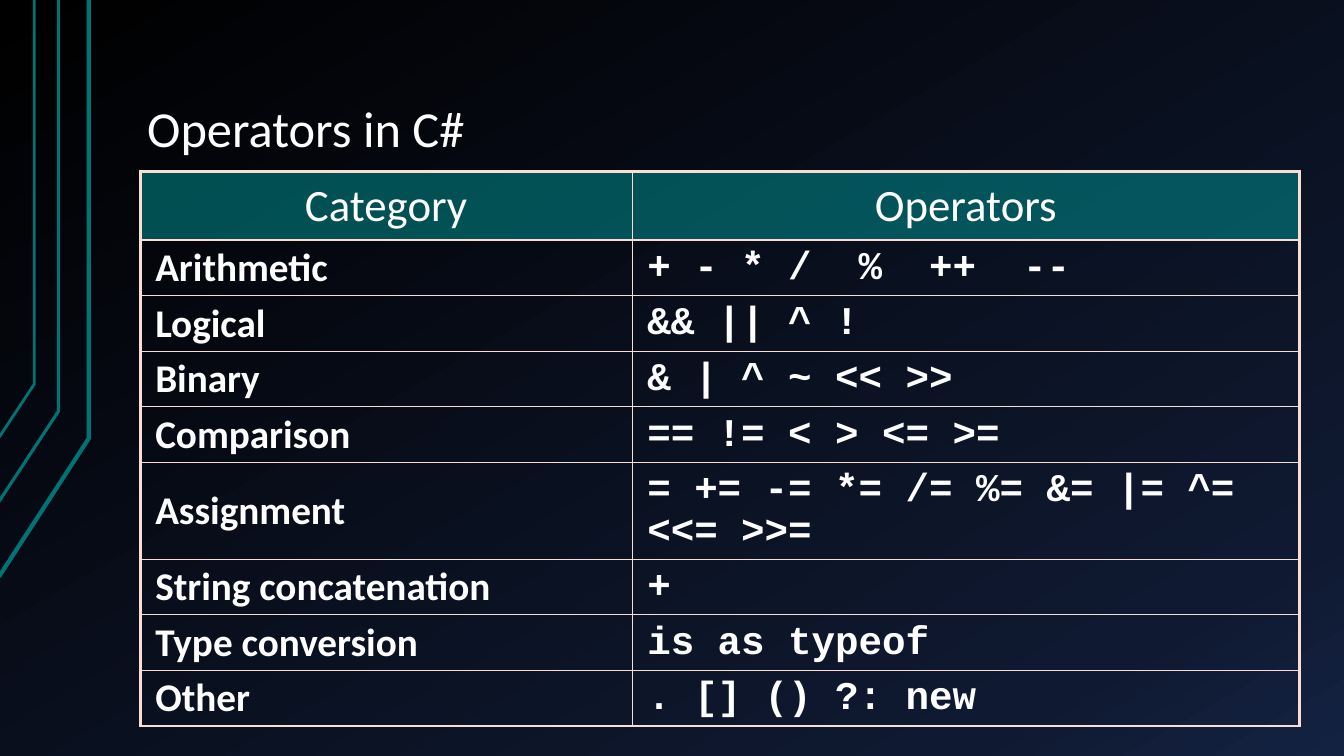
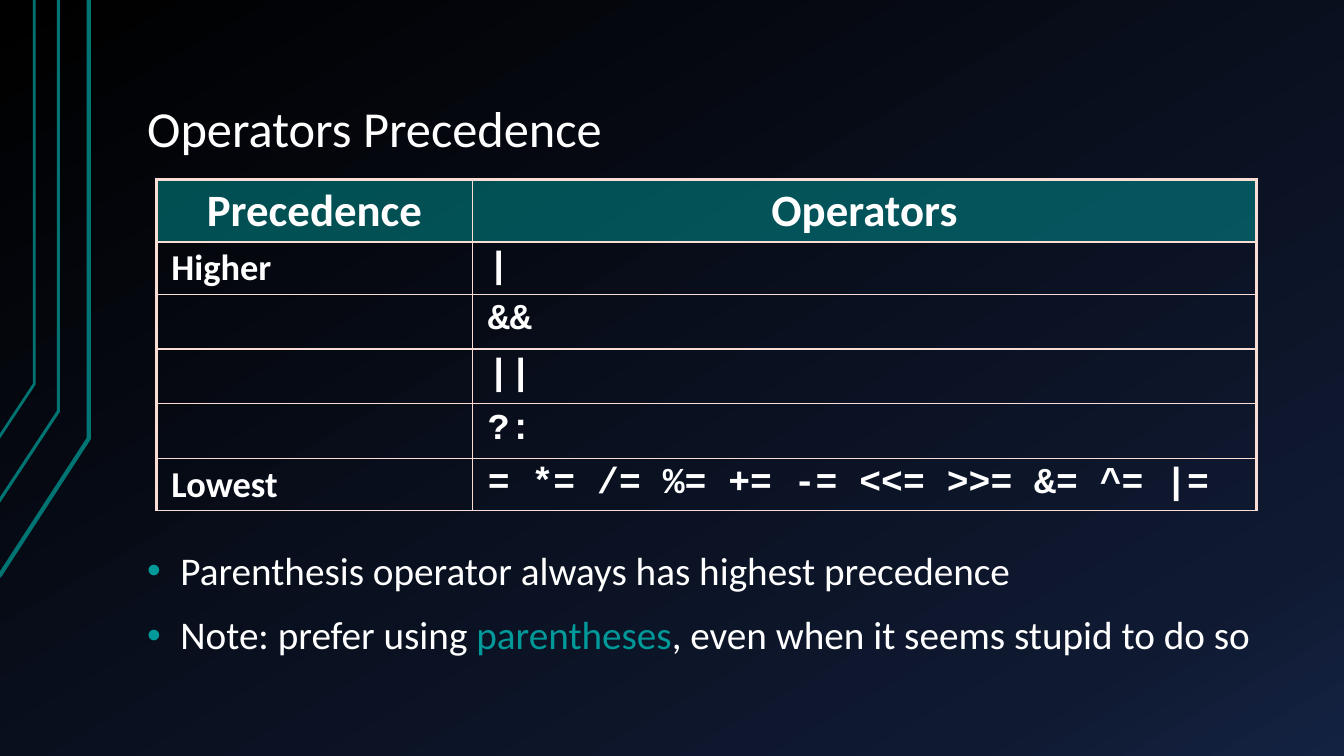
"""Build two slides on C# operators and their precedence."""
from copy import deepcopy

from lxml import etree
from pptx import Presentation
from pptx.dml.color import RGBColor
from pptx.enum.text import MSO_ANCHOR, MSO_AUTO_SIZE, PP_ALIGN
from pptx.oxml.ns import qn
from pptx.util import Inches, Pt

TOP, MIDDLE, BOTTOM = MSO_ANCHOR.TOP, MSO_ANCHOR.MIDDLE, MSO_ANCHOR.BOTTOM
LEFT, CENTER = PP_ALIGN.LEFT, PP_ALIGN.CENTER
NO_AUTOFIT = MSO_AUTO_SIZE.NONE

COLORS = {
    "text": "FFFFFF",
    "accent": "009999",
    "ribbon": "007373",
    "border": "FADDD5",
}
BACKDROP = [(0, "000000"), (0.85, "0F1931"), (1, "142242")]
BODY_FONT, CODE_FONT = "Calibri", "Courier New"
SLIDE_W, SLIDE_H = 13.33, 7.5
CONTENT_LEFT, CONTENT_W, BLOCK_H = 1.33, 11.33, 1.34
THICK, THIN = 2.25, 1
RIBBONS = [
    (3, [(-0.01, 5.72), (0.88, 4.35), (0.88, 0)]),
    (2.25, [(-0.02, 4.99), (0.58, 4.08), (0.58, 0)]),
    (2, [(-0.01, 4.34), (0.34, 3.81), (0.34, 0)]),
]

CATEGORIES = [
    ("Category", "Operators"),
    ("Arithmetic", "+ - * /  %  ++  --"),
    ("Logical", "&& || ^ !"),
    ("Binary", "& | ^ ~ << >>"),
    ("Comparison", "== != < > <= >="),
    ("Assignment", "= += -= *= /= %= &= |= ^= <<= >>="),
    ("String concatenation", "+"),
    ("Type conversion", "is as typeof"),
    ("Other", ". [] () ?: new"),
]
PRECEDENCE = [
    ("Precedence", "Operators"),
    ("Higher", "|"),
    ("", "&&"),
    ("", "||"),
    ("", "?:"),
    ("Lowest", "= *= /= %= += -= <<= >>= &= ^= |="),
]
NOTES = [
    [("Parenthesis operator always has highest precedence", "text")],
    [("Note: prefer using ", "text"), ("parentheses", "accent"),
     (", even when it seems stupid to do so", "text")],
]


def rgb(name):
    return RGBColor.from_string(COLORS[name])


def set_font(font, size, face=BODY_FONT, bold=False):
    font.name, font.size, font.bold = face, Pt(size), bold
    font.color.rgb = rgb("text")


def set_frame(frame, anchor):
    frame.word_wrap = True
    frame.auto_size = NO_AUTOFIT
    frame.vertical_anchor = anchor
    frame.margin_left = frame.margin_right = Inches(0.13)
    frame.margin_top = frame.margin_bottom = Inches(0.07)


def paint_backdrop(master):
    fill = master.background.fill
    fill.gradient()
    fill.gradient_angle = 300
    stops = master.element.find(".//" + qn("a:gsLst"))
    stops.append(deepcopy(stops[-1]))
    for stop, (position, color) in zip(fill.gradient_stops, BACKDROP):
        stop.position = position
        stop.color.rgb = RGBColor.from_string(color)


def add_ribbon(slide, weight, points):
    start, *rest = [(Inches(x), Inches(y)) for x, y in points]
    builder = slide.shapes.build_freeform(*start)
    builder.add_line_segments(rest, close=False)
    ribbon = builder.convert_to_shape()
    ribbon.shadow.inherit = False
    ribbon.fill.background()
    ribbon.line.color.rgb = rgb("ribbon")
    ribbon.line.width = Pt(weight)


def add_titled_slide(prs, heading):
    slide = prs.slides.add_slide(prs.slide_layouts[5])
    for weight, points in RIBBONS:
        add_ribbon(slide, weight, points)
    title = slide.shapes.title
    title.left, title.top = Inches(CONTENT_LEFT), Inches(0.3)
    title.width, title.height = Inches(CONTENT_W), Inches(BLOCK_H)
    title.text_frame.text = heading
    set_frame(title.text_frame, BOTTOM)
    paragraph = title.text_frame.paragraphs[0]
    paragraph.alignment, paragraph.line_spacing = LEFT, 0.9
    set_font(paragraph.font, 36)
    return slide


def set_borders(cell, weights):
    properties = cell._tc.get_or_add_tcPr()
    for index, (side, weight) in enumerate(zip("LRTB", weights)):
        line = etree.Element(qn("a:ln" + side), w=str(Pt(weight)))
        solid = etree.SubElement(line, qn("a:solidFill"))
        etree.SubElement(solid, qn("a:srgbClr"), val=COLORS["border"])
        properties.insert(index, line)


def fill_header(cell):
    cell.fill.solid()
    cell.fill.fore_color.rgb = rgb("accent")
    color = cell._tc.tcPr.find(".//" + qn("a:srgbClr"))
    etree.SubElement(color, qn("a:alpha"), val="50000")


def write_cell(cell, text, size, face, bold, anchor, alignment):
    cell.text = text
    cell.vertical_anchor = anchor
    cell.margin_left = cell.margin_right = Inches(0.15)
    cell.margin_top = cell.margin_bottom = Inches(0.05)
    paragraph = cell.text_frame.paragraphs[0]
    paragraph.alignment, paragraph.line_spacing = alignment, 0.95
    set_font(paragraph.font, size, face, bold)


def add_operator_table(slide, rows, left, top, widths, heights, size,
                       header_bold, code_anchor, bottom_weight):
    table = slide.shapes.add_table(
        len(rows), len(widths), Inches(left), Inches(top),
        Inches(sum(widths)), Inches(sum(heights))).table
    table.first_row = table.horz_banding = False
    for column, width in zip(table.columns, widths):
        column.width = Inches(width)
    for r, (texts, height) in enumerate(zip(rows, heights)):
        table.rows[r].height = Inches(height)
        for c, text in enumerate(texts):
            cell = table.cell(r, c)
            if r == 0:
                write_cell(cell, text, 32, BODY_FONT, header_bold, MIDDLE, CENTER)
                fill_header(cell)
            else:
                face, anchor = ((BODY_FONT, MIDDLE), (CODE_FONT, code_anchor))[c]
                write_cell(cell, text, size, face, True, anchor, LEFT)
                cell.fill.background()
            last = r == len(rows) - 1
            set_borders(cell, (
                THICK if c == 0 else THIN,
                THICK if c == len(widths) - 1 else THIN,
                THICK if r < 2 else THIN,
                THICK if r == 0 else bottom_weight if last else THIN))


def add_bullet(paragraph):
    properties = paragraph._p.get_or_add_pPr()
    properties.set("marL", str(Inches(0.33)))
    properties.set("indent", str(-Inches(0.33)))
    color = etree.Element(qn("a:buClr"))
    etree.SubElement(color, qn("a:srgbClr"), val=COLORS["accent"])
    face = etree.Element(qn("a:buFont"), typeface="Arial")
    mark = etree.Element(qn("a:buChar"), char="•")
    for part in (color, face, mark):
        properties.append(part)


def add_notes(slide, notes):
    frame = slide.shapes.add_textbox(
        Inches(CONTENT_LEFT), Inches(5.4),
        Inches(CONTENT_W), Inches(BLOCK_H)).text_frame
    set_frame(frame, TOP)
    for index, pieces in enumerate(notes):
        paragraph = frame.add_paragraph() if index else frame.paragraphs[0]
        paragraph.line_spacing, paragraph.space_before = 0.9, Pt(16)
        add_bullet(paragraph)
        set_font(paragraph.font, 28)
        for text, color in pieces:
            run = paragraph.add_run()
            run.text = text
            if color != "text":
                run.font.color.rgb = rgb(color)


def main():
    prs = Presentation()
    prs.slide_width, prs.slide_height = Inches(SLIDE_W), Inches(SLIDE_H)
    paint_backdrop(prs.slide_master)

    operators = add_titled_slide(prs, "Operators in C#")
    add_operator_table(
        operators, CATEGORIES, 1.39, 1.7, (4.88, 6.62),
        [0.68] + [0.55] * 4 + [0.96] + [0.55] * 3, size=28,
        header_bold=False, code_anchor=MIDDLE, bottom_weight=THICK)

    precedence = add_titled_slide(prs, "Operators Precedence")
    add_operator_table(
        precedence, PRECEDENCE, 1.55, 1.78, (3.14, 7.77),
        [0.62, 0.52] + [0.54] * 3 + [0.52], size=26,
        header_bold=True, code_anchor=TOP, bottom_weight=THIN)
    add_notes(precedence, NOTES)
    prs.save("out.pptx")


if __name__ == "__main__":
    main()
